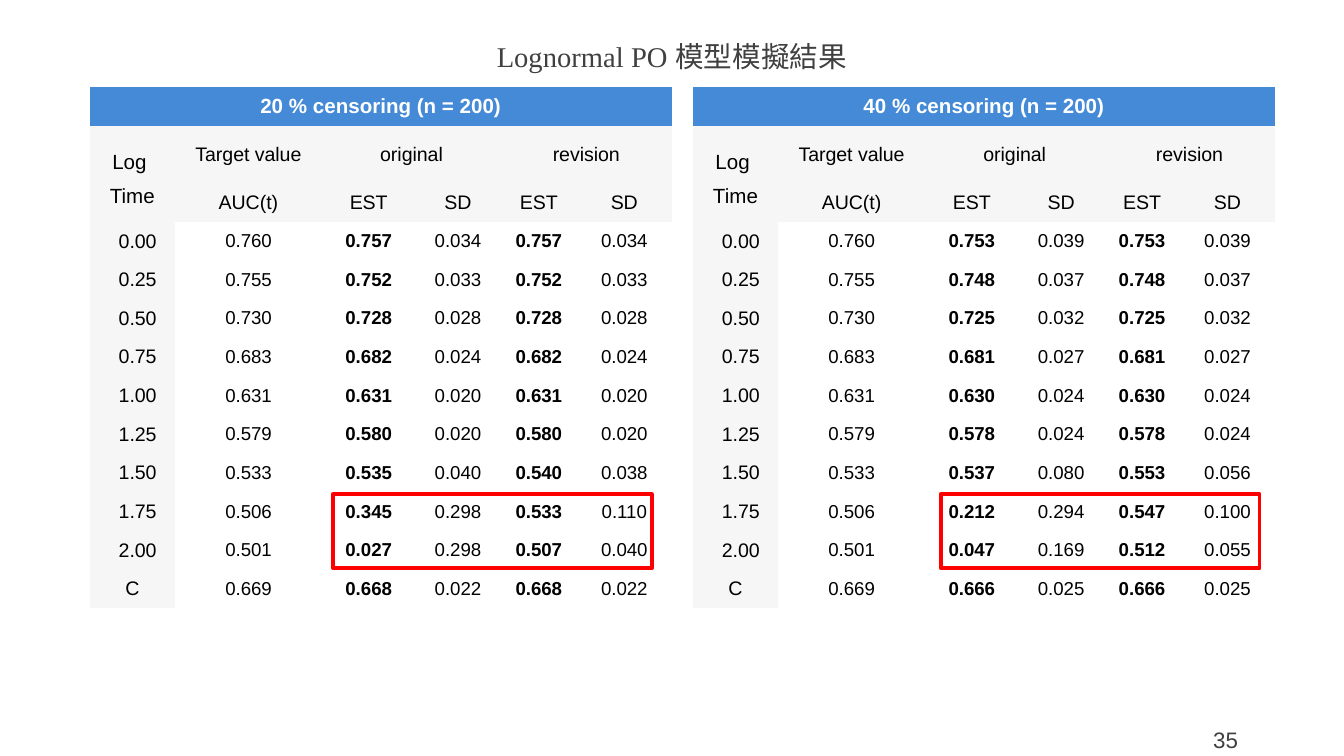
import pptx
import pptx.dml.color
import pptx.enum.shapes
import pptx.enum.text
import pptx.oxml.ns
import pptx.util

Pt = pptx.util.Pt
ALIGN = pptx.enum.text.PP_ALIGN
MIDDLE = pptx.enum.text.MSO_ANCHOR.MIDDLE

BLUE, GREY, WHITE, BLACK, RED, INK = "448AD7", "F6F6F6", "FFFFFF", "000000", "FF0000", "404040"
NO_STYLE = "{2D5ABB26-0587-4C30-8999-92F81FD0307C}"
COLUMN_WIDTHS = [45.4, 79.1, 49.7, 46, 40.7, 50.9]
ROW_HEIGHT, GROUP_ROW_HEIGHT = 20.7, 30.9

TIMES = ["0.00", "0.25", "0.50", "0.75", "1.00", "1.25", "1.50", "1.75", "2.00", "C"]
TARGETS = ["0.760", "0.755", "0.730", "0.683", "0.631", "0.579", "0.533", "0.506", "0.501", "0.669"]
# Each row: original EST and SD, revision EST and SD
CENSORED_20 = """
0.757 0.034 0.757 0.034
0.752 0.033 0.752 0.033
0.728 0.028 0.728 0.028
0.682 0.024 0.682 0.024
0.631 0.020 0.631 0.020
0.580 0.020 0.580 0.020
0.535 0.040 0.540 0.038
0.345 0.298 0.533 0.110
0.027 0.298 0.507 0.040
0.668 0.022 0.668 0.022"""
CENSORED_40 = """
0.753 0.039 0.753 0.039
0.748 0.037 0.748 0.037
0.725 0.032 0.725 0.032
0.681 0.027 0.681 0.027
0.630 0.024 0.630 0.024
0.578 0.024 0.578 0.024
0.537 0.080 0.553 0.056
0.212 0.294 0.547 0.100
0.047 0.169 0.512 0.055
0.666 0.025 0.666 0.025"""


def rgb(value):
    return pptx.dml.color.RGBColor.from_string(value)


def format_run(run, size, color, bold=False, font="Arial"):
    run.font.name = font
    run.font.size = Pt(size)
    run.font.bold = bold
    run.font.color.rgb = rgb(color)


def add_line_box(slide, left, top, width, height, align):
    frame = slide.shapes.add_textbox(Pt(left), Pt(top), Pt(width), Pt(height)).text_frame
    frame.word_wrap = True
    frame.vertical_anchor = MIDDLE
    frame.paragraphs[0].alignment = align
    return frame.paragraphs[0]


def add_title(slide, left, top, width, height):
    heading = add_line_box(slide, left, top, width, height, ALIGN.CENTER)
    for words, font in [("Lognormal PO ", "Times New Roman"), ("模型模擬結果", "Noto Sans CJK SC")]:
        run = heading.add_run()
        run.text = words
        format_run(run, 15.3, INK, font=font)
        east_asian = run.font._element.makeelement(pptx.oxml.ns.qn("a:ea"), {"typeface": font})
        run.font._element.append(east_asian)


def add_page_number(slide, left, top, width, height):
    number = add_line_box(slide, left, top, width, height, ALIGN.RIGHT)
    number.text = "35"
    format_run(number.runs[0], 12, INK)


def fill_cell(cell, words, size, fill, color=BLACK, bold=False, spacing=None):
    cell.fill.solid()
    cell.fill.fore_color.rgb = rgb(fill)
    cell.vertical_anchor = MIDDLE
    cell.margin_top = cell.margin_bottom = Pt(2)
    cell.text_frame.text = words
    for paragraph in cell.text_frame.paragraphs:
        paragraph.alignment = ALIGN.CENTER
        if spacing:
            paragraph.line_spacing = spacing
        for run in paragraph.runs:
            format_run(run, size, color, bold)


def add_results(slide, left, top, heading, estimates):
    results = [line.split() for line in estimates.split("\n") if line]
    heights = [ROW_HEIGHT, GROUP_ROW_HEIGHT] + [ROW_HEIGHT] * (len(results) + 1)
    frame = slide.shapes.add_table(len(heights), len(COLUMN_WIDTHS), Pt(left), Pt(top),
                                   Pt(sum(COLUMN_WIDTHS)), Pt(sum(heights)))
    table = frame.table
    table._tbl.tblPr.find(pptx.oxml.ns.qn("a:tableStyleId")).text = NO_STYLE
    for column, width in zip(table.columns, COLUMN_WIDTHS):
        column.width = Pt(width)
    for row, height in zip(table.rows, heights):
        row.height = Pt(height)

    # Merged headings
    for first, last in [((0, 0), (0, 5)), ((1, 0), (2, 0)), ((1, 2), (1, 3)), ((1, 4), (1, 5))]:
        table.cell(*first).merge(table.cell(*last))
    fill_cell(table.cell(0, 0), heading, 11, BLUE, WHITE, bold=True)
    fill_cell(table.cell(1, 0), "Log \nTime", 11, GREY, spacing=1.5)
    for column, words in [(1, "Target value"), (2, "original"), (4, "revision")]:
        fill_cell(table.cell(1, column), words, 10.5, GREY)
    for column, words in enumerate(["AUC(t)", "EST", "SD", "EST", "SD"], 1):
        fill_cell(table.cell(2, column), words, 10.5, GREY)

    # Values, with the estimates in bold
    for row, (time, target, result) in enumerate(zip(TIMES, TARGETS, results), 3):
        fill_cell(table.cell(row, 0), time, 10.5, GREY)
        if time != "C":
            table.cell(row, 0).margin_left = Pt(13)
        for column, value in enumerate([target] + result, 1):
            fill_cell(table.cell(row, column), value, 10, WHITE, bold=column in (2, 4))


def add_highlight(slide, left, top, width, height):
    highlight = slide.shapes.add_shape(pptx.enum.shapes.MSO_SHAPE.RECTANGLE,
                                       Pt(left), Pt(top), Pt(width), Pt(height))
    highlight.shadow.inherit = False
    highlight.fill.background()
    highlight.line.color.rgb = rgb(RED)
    highlight.line.width = Pt(2)


def main():
    deck = pptx.Presentation()
    deck.slide_width, deck.slide_height = Pt(720), Pt(405)
    slide = deck.slides.add_slide(deck.slide_layouts[6])

    add_title(slide, 0, 18.7, 720, 22.3)
    add_page_number(slide, 508.3, 385.2, 162, 21.6)
    add_results(slide, 48.2, 46.6, "20 % censoring (n = 200)", CENSORED_20)
    add_results(slide, 371.3, 46.6, "40 % censoring (n = 200)", CENSORED_40)
    for left in (178.4, 504):
        add_highlight(slide, left, 264.8, 170.8, 39.6)

    deck.save("out.pptx")


if __name__ == "__main__":
    main()
